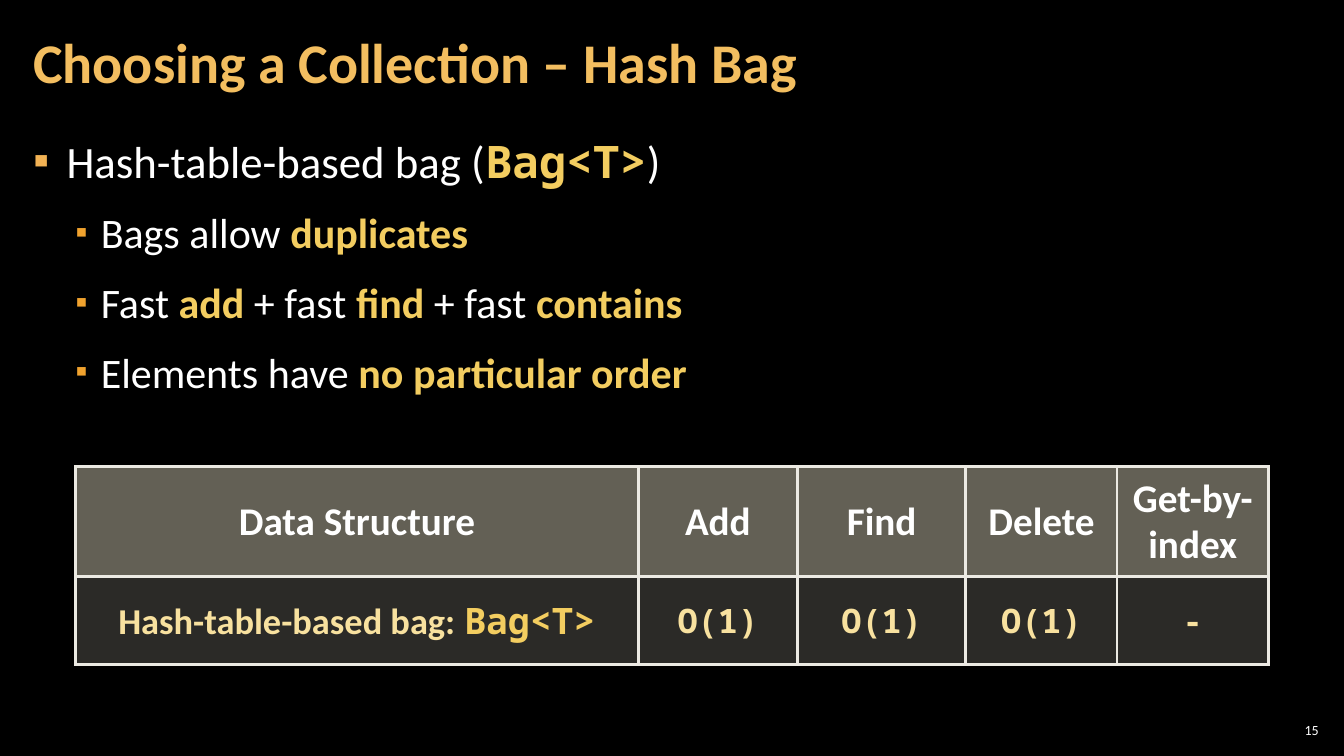
from dataclasses import dataclass

from lxml import etree
from pptx import Presentation
from pptx import util as u
from pptx.dml.color import RGBColor
from pptx.enum import text
from pptx.oxml import ns

BLACK = RGBColor(0x00, 0x00, 0x00)
WHITE = RGBColor(0xFF, 0xFF, 0xFF)
TITLE_GOLD = RGBColor(0xF3, 0xBE, 0x60)
ACCENT = RGBColor(0xF3, 0xCD, 0x60)
PALE_GOLD = RGBColor(0xF8, 0xE1, 0x9F)
BULLET = RGBColor(0xF2, 0xB2, 0x54)
SUB_BULLET = RGBColor(0xF0, 0xA2, 0x2E)
HEADER_FILL = RGBColor(0xC6, 0xC0, 0xAA)
ROW_FILL = RGBColor(0xD9, 0xD5, 0xC7)
BORDER = RGBColor(0xEC, 0xEA, 0xE3)
SANS, MONO = "Calibri", "Noto Sans Mono"


@dataclass(frozen=True)
class Span:
    text: str
    color: RGBColor = WHITE
    bold: bool = False
    font: str = SANS


@dataclass(frozen=True)
class Level:
    left: float
    hanging: float
    size: int
    bullet_color: RGBColor
    bullet_percent: int


@dataclass(frozen=True)
class Row:
    height: float
    fill: RGBColor
    opacity: int
    sizes: list[int]
    cells: list[list[Span]]


TOP = Level(0.33, 0.33, 32, BULLET, 100)
SUB = Level(0.67, 0.25, 30, SUB_BULLET, 80)


def key(words: str) -> Span:
    return Span(words, ACCENT, True)


BULLETS = [
    (TOP, [Span("Hash-table-based bag ("), Span("Bag<T>", ACCENT, True, MONO), Span(")")]),
    (SUB, [Span("Bags allow "), key("duplicates")]),
    (SUB, [Span("Fast "), key("add"), Span(" + fast "), key("find"),
           Span(" + fast "), key("contains")]),
    (SUB, [Span("Elements have "), key("no particular order")]),
]

COLUMN_WIDTHS = [5.58, 1.58, 1.67, 1.5, 1.5]
HEADERS = ["Data Structure", "Add", "Find", "Delete", "Get-by-index"]
COSTS = ["O(1)", "O(1)", "O(1)", "-"]
BAG_LABEL = [Span("Hash-table-based bag: ", PALE_GOLD, True),
             Span("Bag<T>", ACCENT, True, MONO)]
ROWS = [
    Row(1.09, HEADER_FILL, 50, [28] * 5, [[Span(h, bold=True)] for h in HEADERS]),
    Row(0.87, ROW_FILL, 20, [26] + [24] * 4,
        [BAG_LABEL] + [[Span(c, PALE_GOLD, True, MONO)] for c in COSTS]),
]


def write(p, spans: list[Span], size: int) -> None:
    for span in spans:
        r = p.add_run()
        r.text = span.text
        r.font.name = span.font
        r.font.size = u.Pt(size)
        r.font.bold = span.bold
        r.font.color.rgb = span.color


def set_frame(tf, anchor, side: float = 0.12) -> None:
    tf.word_wrap = True
    tf.auto_size = text.MSO_AUTO_SIZE.NONE
    tf.vertical_anchor = anchor
    tf.margin_left = tf.margin_right = u.Inches(side)
    tf.margin_top = tf.margin_bottom = u.Inches(0.04)


def place(shape, left: float, top: float, width: float, height: float) -> None:
    shape.left, shape.top = u.Inches(left), u.Inches(top)
    shape.width, shape.height = u.Inches(width), u.Inches(height)


def sub(parent, tag: str, **attributes: str):
    return etree.SubElement(parent, ns.qn(tag), **attributes)


def add_bullet(p, level: Level) -> None:
    pPr = p._p.get_or_add_pPr()
    pPr.set("marL", str(u.Inches(level.left)))
    pPr.set("indent", str(-u.Inches(level.hanging)))
    sub(sub(pPr, "a:buClr"), "a:srgbClr", val=str(level.bullet_color))
    sub(pPr, "a:buSzPct", val=str(level.bullet_percent * 1000))
    sub(pPr, "a:buFont", typeface=SANS)
    sub(pPr, "a:buChar", char="▪")


def style_cell(cell, fill: RGBColor, opacity: int) -> None:
    """Give a cell its translucent fill and its four borders."""
    cell.vertical_anchor = text.MSO_ANCHOR.MIDDLE
    cell.fill.solid()
    cell.fill.fore_color.rgb = fill
    tcPr = cell._tc.get_or_add_tcPr()
    sub(tcPr.find(".//" + ns.qn("a:srgbClr")), "a:alpha", val=str(opacity * 1000))
    for i, side in enumerate(("a:lnL", "a:lnR", "a:lnT", "a:lnB")):
        line = etree.Element(ns.qn(side), w=str(u.Pt(2.25)))
        sub(sub(line, "a:solidFill"), "a:srgbClr", val=str(BORDER))
        tcPr.insert(i, line)


def add_title(s) -> None:
    title = s.shapes.title
    place(title, 0.21, 0.04, 10.47, 1.21)
    tf = title.text_frame
    set_frame(tf, text.MSO_ANCHOR.MIDDLE)
    p = tf.paragraphs[0]
    p.alignment = text.PP_ALIGN.LEFT
    p.line_spacing = 0.9
    write(p, [Span("Choosing a Collection – Hash Bag", TITLE_GOLD, True)], 40)


def add_bullets(s) -> None:
    box = s.shapes.add_textbox(0, 0, 0, 0)
    place(box, 0.21, 1.26, 12.91, 3.2)
    tf = box.text_frame
    set_frame(tf, text.MSO_ANCHOR.TOP)
    for i, (level, spans) in enumerate(BULLETS):
        p = tf.add_paragraph() if i else tf.paragraphs[0]
        add_bullet(p, level)
        p.level = 0 if level is TOP else 1
        p.line_spacing = 1.05
        p.space_before = u.Pt(6 if i else 0)
        p.space_after = u.Pt(6)
        write(p, spans, level.size)


def add_cost_table(s) -> None:
    frame = s.shapes.add_table(
        len(ROWS), len(COLUMN_WIDTHS), u.Inches(0.75), u.Inches(4.63),
        u.Inches(sum(COLUMN_WIDTHS)), u.Inches(sum(row.height for row in ROWS)))
    table = frame.table
    table.horz_banding = False
    for column, width in zip(table.columns, COLUMN_WIDTHS):
        column.width = u.Inches(width)
    for i, row in enumerate(ROWS):
        table.rows[i].height = u.Inches(row.height)
        for j, (spans, size) in enumerate(zip(row.cells, row.sizes)):
            cell = table.cell(i, j)
            style_cell(cell, row.fill, row.opacity)
            p = cell.text_frame.paragraphs[0]
            p.alignment = text.PP_ALIGN.CENTER
            p.line_spacing = 0.95
            write(p, spans, size)


def add_slide_number(s) -> None:
    box = s.shapes.add_textbox(0, 0, 0, 0)
    place(box, 12.65, 7.14, 0.47, 0.21)
    set_frame(box.text_frame, text.MSO_ANCHOR.MIDDLE, 0.04)
    p = box.text_frame.paragraphs[0]
    p.alignment = text.PP_ALIGN.RIGHT
    write(p, [Span("15")], 10)


def main() -> None:
    prs = Presentation()
    prs.slide_width, prs.slide_height = u.Inches(13.33), u.Inches(7.5)
    s = prs.slides.add_slide(prs.slide_layouts[5])
    s.background.fill.solid()
    s.background.fill.fore_color.rgb = BLACK
    add_title(s)
    add_bullets(s)
    add_cost_table(s)
    add_slide_number(s)
    prs.save("out.pptx")


if __name__ == "__main__":
    main()
